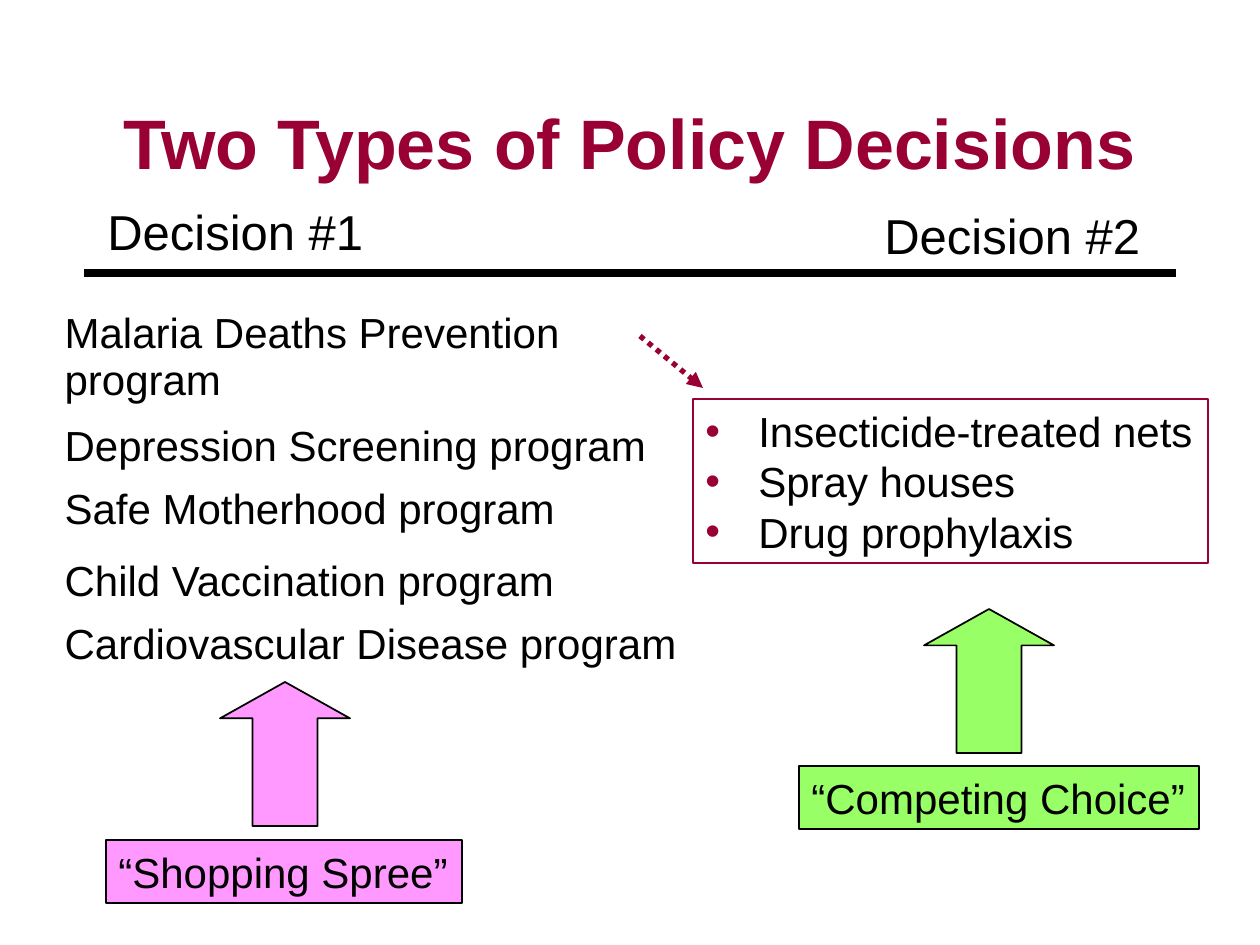
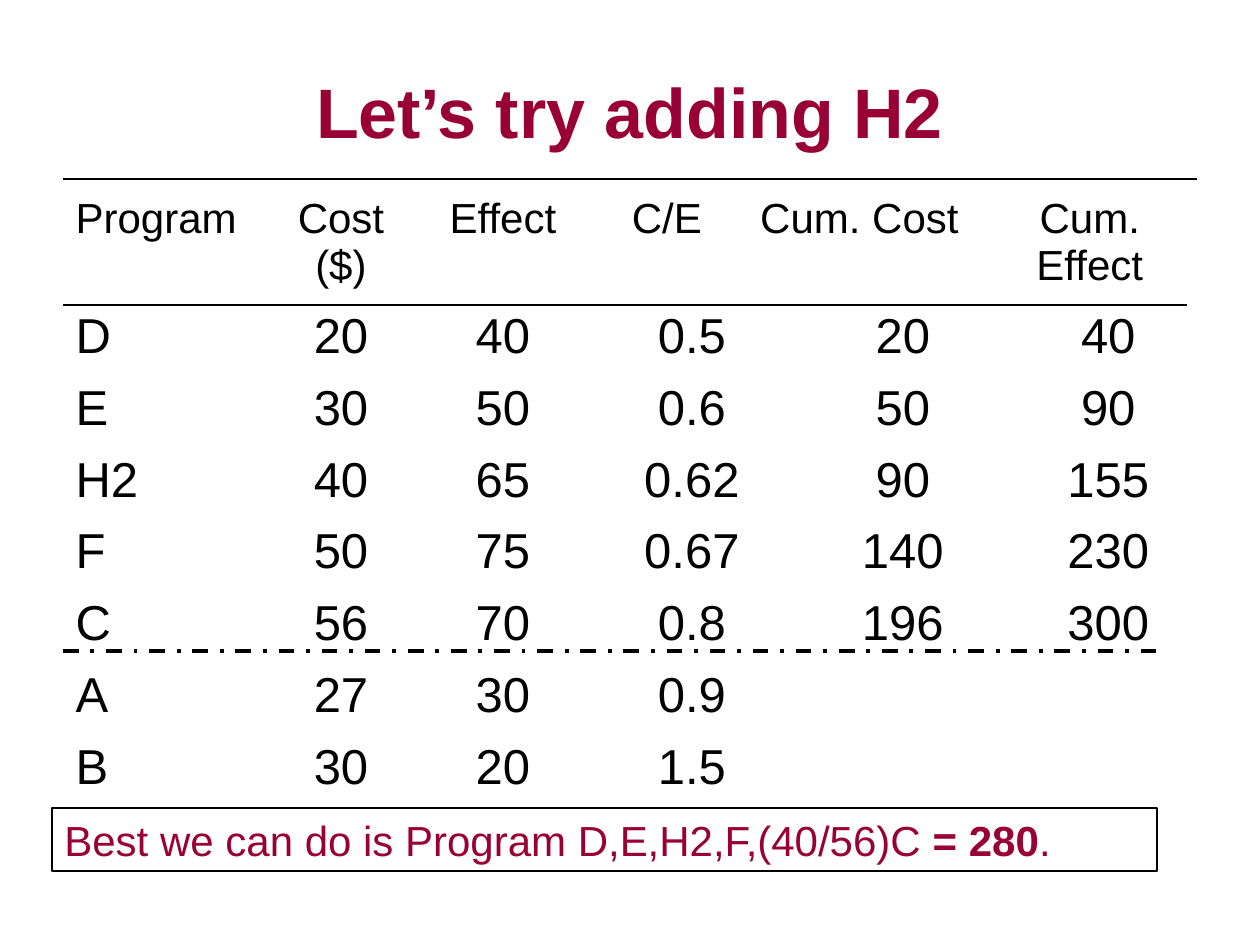
"""Builds two slides on choosing health programs by cost and effect."""
from lxml import etree
from pptx import Presentation
from pptx.dml.color import RGBColor
from pptx.enum.dml import MSO_LINE
from pptx.enum.shapes import MSO_CONNECTOR, MSO_SHAPE
from pptx.enum.text import MSO_ANCHOR, MSO_AUTO_SIZE, PP_ALIGN
from pptx.oxml.ns import qn
from pptx.util import Pt

STRAIGHT = MSO_CONNECTOR.STRAIGHT
RECTANGLE, UP_ARROW = MSO_SHAPE.RECTANGLE, MSO_SHAPE.UP_ARROW
DOTTED, DASH_DOT = MSO_LINE.ROUND_DOT, MSO_LINE.DASH_DOT
LEFT, CENTER = PP_ALIGN.LEFT, PP_ALIGN.CENTER
MIDDLE = MSO_ANCHOR.MIDDLE
GROW = MSO_AUTO_SIZE.SHAPE_TO_FIT_TEXT

FONT = "Arial"
COLORS = {"text": "000000", "accent": "990033", "pink": "FF99FF", "green": "99FF66"}
TITLE_SIZE, LARGE, BODY = 40, 28, 24
PX_PER_INCH = 126

DECISIONS = [("Decision #1", 95, 195), ("Decision #2", 872, 199)]
PROGRAMS = [
    ("Malaria Deaths Prevention program", 113),
    ("Depression Screening program", 63),
    ("Safe Motherhood program", 72),
    ("Child Vaccination program", 63),
    ("Cardiovascular Disease program", 63),
]
MALARIA_OPTIONS = ["Insecticide-treated nets", "Spray houses", "Drug prophylaxis"]
CHOICES = [
    ("“Shopping Spree”", "pink", (106, 840, 356, 63), (220, 682)),
    ("“Competing Choice”", "green", (799, 766, 400, 63), (924, 609)),
]

COLUMN_WIDTHS = [200, 156, 168, 160, 50, 175, 37, 199]
HEADER = ["Program", "Cost ($)", "Effect", "C/E", "Cum. Cost", "Cum. Effect"]
HEADER_SPANS = [(0, 0), (1, 1), (2, 2), (3, 3), (4, 5), (6, 7)]
BODY_SPANS = [(0, 0), (1, 1), (2, 2), (3, 4), (5, 6), (7, 7)]
RESULTS = [
    ["D", "20", "40", "0.5", "20", "40"],
    ["E", "30", "50", "0.6", "50", "90"],
    ["H2", "40", "65", "0.62", "90", "155"],
    ["F", "50", "75", "0.67", "140", "230"],
    ["C", "56", "70", "0.8", "196", "300"],
    ["A", "27", "30", "0.9", "", ""],
    ["B", "30", "20", "1.5", "", ""],
]
CONCLUSION = [
    ("Best we can do is Program D,E,H2,F,(40/56)C ", False),
    ("= 280", True),
    (".", False),
]


def px(*lengths):
    return [round(length * 914400 / PX_PER_INCH) for length in lengths]


def rgb(name):
    return RGBColor.from_string(COLORS[name])


def write(para, spans, size=BODY, color="text", align=LEFT):
    para.alignment = align
    for text, bold in spans:
        span = para.add_run()
        span.text = text
        span.font.name, span.font.size, span.font.bold = FONT, Pt(size), bold
        span.font.color.rgb = rgb(color)


def add_label(page, at, spans, size=BODY, color="text", align=LEFT, wrap=False):
    box = page.shapes.add_textbox(*px(*at))
    box.text_frame.word_wrap = wrap
    write(box.text_frame.paragraphs[0], spans, size, color, align)
    return box


def add_title(page, text, top):
    box = add_label(page, (94, top, 1071, 136), [(text, True)], TITLE_SIZE, "accent", CENTER, True)
    box.text_frame.vertical_anchor = MIDDLE


def add_panel(page, kind, at, fill=None, line="text", weight=1, wrap=True):
    panel = page.shapes.add_shape(kind, *px(*at))
    panel.shadow.inherit = False
    if fill:
        panel.fill.solid()
        panel.fill.fore_color.rgb = rgb(fill)
    else:
        panel.fill.background()
    panel.line.color.rgb, panel.line.width = rgb(line), Pt(weight)
    panel.text_frame.word_wrap = wrap
    panel.text_frame.auto_size = GROW
    return panel


def add_rule(page, ends, weight, color="text", dash=None, arrow=False):
    rule = page.shapes.add_connector(STRAIGHT, *px(*ends))
    rule.line.color.rgb, rule.line.width = rgb(color), Pt(weight)
    if dash:
        rule.line.dash_style = dash
    if arrow:
        etree.SubElement(rule.line._get_or_add_ln(), qn("a:tailEnd"), type="triangle")
    etree.SubElement(rule._element.spPr, qn("a:effectLst"))


def add_grid(page, left, top, widths, heights):
    grid = page.shapes.add_table(
        len(heights), len(widths), *px(left, top, sum(widths), sum(heights))).table
    grid.first_row = grid.horz_banding = False
    for column, width in zip(grid.columns, px(*widths)):
        column.width = width
    for row, height in zip(grid.rows, px(*heights)):
        row.height = height
    for cell in grid.iter_cells():
        cell.fill.background()
    return grid


def add_bullet(para, indent):
    settings = para._p.get_or_add_pPr()
    settings.set("marL", str(indent))
    settings.set("indent", str(-indent))
    color = etree.SubElement(settings, qn("a:buClr"))
    etree.SubElement(color, qn("a:srgbClr"), val=COLORS["accent"])
    etree.SubElement(settings, qn("a:buFont"), typeface=FONT)
    etree.SubElement(settings, qn("a:buChar"), char="•")


def build_decisions(page):
    add_title(page, "Two Types of Policy Decisions", 73)
    names, heights = zip(*PROGRAMS)
    grid = add_grid(page, 52, 304, [651], heights)
    for row, name in enumerate(names):
        write(grid.cell(row, 0).text_frame.paragraphs[0], [(name, False)])
    add_rule(page, (84, 273, 1176, 273), 4.5)
    for text, left, top in DECISIONS:
        add_label(page, (left, top, 281, 72), [(text, False)], LARGE)

    options = add_panel(page, RECTANGLE, (693, 399, 515, 164), line="accent")
    frame = options.text_frame
    for index, option in enumerate(MALARIA_OPTIONS):
        para = frame.add_paragraph() if index else frame.paragraphs[0]
        write(para, [(option, False)])
        add_bullet(para, px(53)[0])
    add_rule(page, (640, 336, 703, 388), 3, "accent", DOTTED, arrow=True)

    for text, fill, at, arrow_corner in CHOICES:
        arrow = add_panel(page, UP_ARROW, (*arrow_corner, 130, 144), fill)
        arrow.text_frame.auto_size = None
        arrow.adjustments[1] = 0.28
        choice = add_panel(page, RECTANGLE, at, fill, wrap=False)
        write(choice.text_frame.paragraphs[0], [(text, False)])


def build_results(page):
    add_title(page, "Let’s try adding H2", 42)
    grid = add_grid(page, 63, 189, COLUMN_WIDTHS, [113] + [72] * len(RESULTS))
    for row, values in enumerate([HEADER] + RESULTS):
        spans, size = (BODY_SPANS, LARGE) if row else (HEADER_SPANS, BODY)
        for (first, last), value in zip(spans, values):
            cell = grid.cell(row, first)
            if last > first:
                cell.merge(grid.cell(row, last))
            if value:
                align = CENTER if first else LEFT
                write(cell.text_frame.paragraphs[0], [(value, False)], size, align=align)
    add_rule(page, (63, 305, 1187, 305), 1)
    add_rule(page, (63, 179, 1197, 179), 1)
    conclusion = add_panel(page, RECTANGLE, (52, 808, 1105, 63), weight=0.75)
    write(conclusion.text_frame.paragraphs[0], CONCLUSION, color="accent")
    add_rule(page, (63, 651, 1166, 651), 2.25, dash=DASH_DOT)


def main():
    deck = Presentation()
    deck.slide_width, deck.slide_height = px(1260, 945)
    for build in (build_decisions, build_results):
        build(deck.slides.add_slide(deck.slide_layouts[6]))
    deck.save("out.pptx")


if __name__ == "__main__":
    main()
